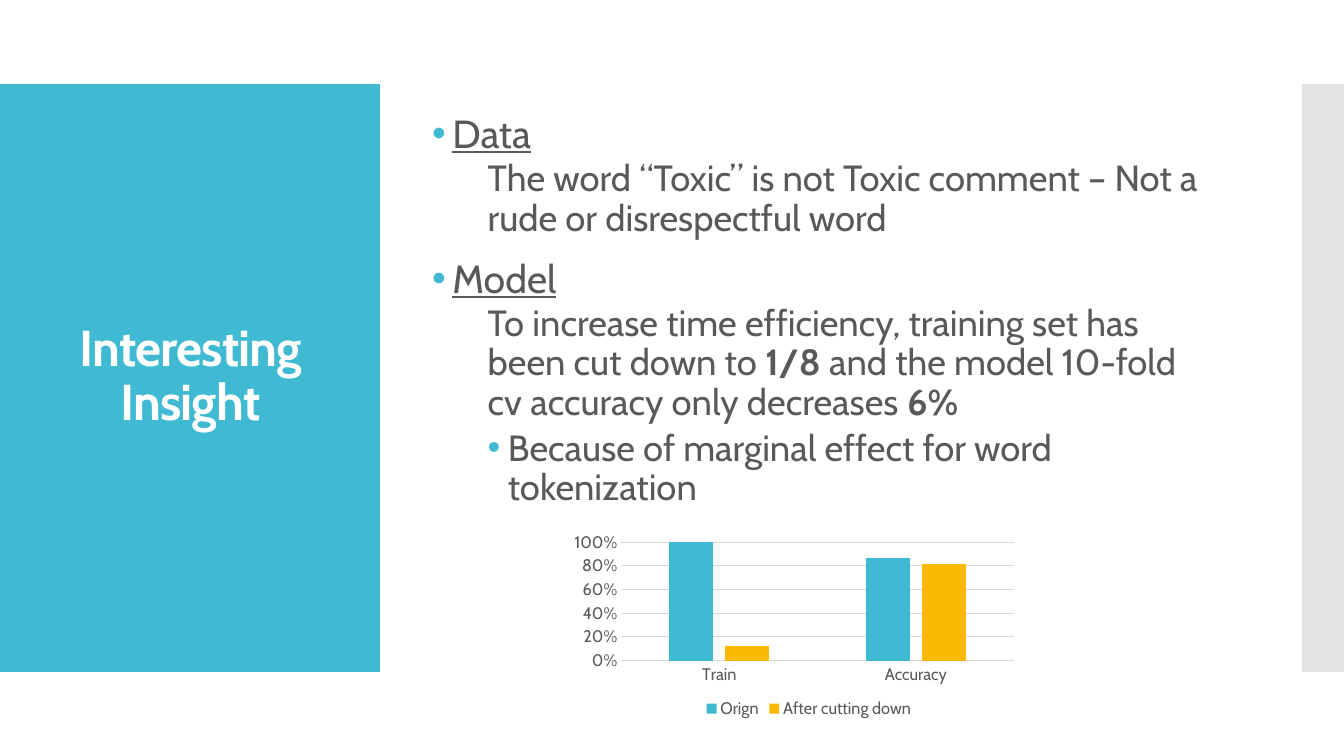
from dataclasses import dataclass

from lxml.etree import SubElement
from pptx import Presentation
from pptx.chart.data import CategoryChartData
from pptx.dml.color import RGBColor
from pptx.enum.chart import XL_CHART_TYPE, XL_LEGEND_POSITION, XL_TICK_MARK
from pptx.enum.shapes import MSO_SHAPE
from pptx.enum.text import MSO_ANCHOR, PP_ALIGN
from pptx.oxml import parse_xml
from pptx.oxml.ns import nsdecls, qn
from pptx.util import Pt


@dataclass(frozen=True)
class Theme:
    """Colours, font and type sizes of the slide."""
    font: str = "Cabin"
    teal: str = "40BAD2"
    amber: str = "FAB900"
    gray: str = "C8C8C8"
    text: str = "595959"
    grid: str = "D9D9D9"
    white: str = "FFFFFF"
    title: int = 36
    heading: int = 28
    body: int = 26
    label: int = 12


@dataclass(frozen=True)
class Box:
    """A rectangle in points."""
    left: float
    top: float
    width: float
    height: float

    def emu(self) -> tuple:
        """Return the four lengths for python-pptx."""
        return Pt(self.left), Pt(self.top), Pt(self.width), Pt(self.height)


@dataclass(frozen=True)
class Line:
    """A body paragraph; runs at odd positions are bold."""
    runs: tuple
    indent: float
    bullet: bool = False
    heading: bool = False


T = Theme()
BULLET_GAP = 14.4
TITLE_PANEL = Box(0, 60, 271.4, 420)
EDGE_PANEL = Box(930, 60, 30, 420)
TITLE = Box(20, 88.5, 232, 362)
BODY = Box(301.7, 20.9, 576, 403.2)
CHART = Box(410.4, 375.1, 324.7, 141.1)
PLOT = {"x": 0.073, "y": 0.087, "w": 0.893, "h": 0.599}
LINES = (
    Line(("Data",), 14.4, bullet=True, heading=True),
    Line(("The word “Toxic” is not Toxic comment – Not a rude or disrespectful word",), 39.6),
    Line(("Model",), 14.4, bullet=True, heading=True),
    Line(("To increase time efficiency, training set has been cut down to ", "1/8 ",
          "and the model 10-fold cv accuracy only decreases ", "6%"), 39.6),
    Line(("Because of marginal effect for word tokenization",), 54, bullet=True),
)
SERIES = (("Orign", (1, 0.87), T.teal), ("After cutting down", (0.12, 0.82), T.amber))


def rgb(value: str) -> RGBColor:
    """Turn a hex string into a colour."""
    return RGBColor.from_string(value)


def style(font, size: float, color: str, bold: bool = False) -> None:
    """Set face, size, colour and weight of a font."""
    font.name, font.size, font.bold = T.font, Pt(size), bold
    font.color.rgb = rgb(color)


def add_panel(s, box: Box, color: str, alpha: int = 100) -> None:
    """Draw a plain rectangle, see-through below 100 percent."""
    sp = s.shapes.add_shape(MSO_SHAPE.RECTANGLE, *box.emu())
    sp.shadow.inherit = False
    sp.fill.solid()
    sp.fill.fore_color.rgb = rgb(color)
    sp.line.fill.background()
    if alpha < 100:
        clr = sp.fill._xPr.find(".//" + qn("a:srgbClr"))
        SubElement(clr, qn("a:alpha"), val=str(alpha * 1000))


def add_text_frame(s, box: Box):
    """Add a wrapping, vertically centred text box and return its frame."""
    tf = s.shapes.add_textbox(*box.emu()).text_frame
    tf.word_wrap = True
    tf.vertical_anchor = MSO_ANCHOR.MIDDLE
    return tf


def add_title(s) -> None:
    """Write the title on the teal panel."""
    p = add_text_frame(s, TITLE).paragraphs[0]
    p.alignment, p.line_spacing = PP_ALIGN.CENTER, 0.9
    r = p.add_run()
    r.text = "Interesting Insight"
    style(r.font, T.title, T.white, bold=True)
    r.font._element.set("spc", "-60")


def set_indent(p, line: Line) -> None:
    """Set the left margin and, where wanted, a teal bullet."""
    pPr = p._p.get_or_add_pPr()
    pPr.set("marL", str(Pt(line.indent)))
    pPr.set("indent", str(-Pt(BULLET_GAP) if line.bullet else 0))
    if line.bullet:
        SubElement(SubElement(pPr, qn("a:buClr")), qn("a:srgbClr"), val=T.teal)
        SubElement(pPr, qn("a:buFont"), typeface="Arial")
        SubElement(pPr, qn("a:buChar"), char="•")
    else:
        SubElement(pPr, qn("a:buNone"))


def add_body(s) -> None:
    """Write the headings and their details."""
    tf = add_text_frame(s, BODY)
    for i, line in enumerate(LINES):
        p = tf.add_paragraph() if i else tf.paragraphs[0]
        p.line_spacing = 0.9
        p.space_before = Pt(12 if line.heading else 2.5)
        p.space_after = Pt(0 if line.heading else 2.5)
        set_indent(p, line)
        for j, text in enumerate(line.runs):
            r = p.add_run()
            r.text = text
            style(r.font, T.heading if line.heading else T.body, T.text, bold=j % 2 == 1)
            r.font.underline = line.heading


def set_plot_layout(chart) -> None:
    """Fix the inner plot area inside the chart."""
    area = chart._chartSpace.chart.plotArea
    for old in area.findall(qn("c:layout")):
        area.remove(old)
    sizes = "".join(f'<c:{k} val="{v}"/>' for k, v in PLOT.items())
    area.insert(0, parse_xml(
        f'<c:layout {nsdecls("c")}><c:manualLayout><c:layoutTarget val="inner"/>'
        f'<c:xMode val="edge"/><c:yMode val="edge"/>{sizes}</c:manualLayout></c:layout>'))


def style_axes(chart) -> None:
    """Set labels, lines and scale of both axes."""
    cat, val = chart.category_axis, chart.value_axis
    for axis in (cat, val):
        axis.major_tick_mark = axis.minor_tick_mark = XL_TICK_MARK.NONE
        style(axis.tick_labels.font, T.label, T.text)
    val.minimum_scale, val.maximum_scale, val.major_unit = 0, 1, 0.2
    val.tick_labels.number_format = "0%"
    val.tick_labels.number_format_is_linked = False
    val.format.line.fill.background()
    for line in (cat.format.line, val.major_gridlines.format.line):
        line.color.rgb, line.width = rgb(T.grid), Pt(0.75)


def add_accuracy_chart(s) -> None:
    """Compare training size and accuracy before and after the cut."""
    data = CategoryChartData(number_format="0%")
    data.categories = ("Train", "Accuracy")
    for name, values, _ in SERIES:
        data.add_series(name, values)
    chart = s.shapes.add_chart(XL_CHART_TYPE.COLUMN_CLUSTERED, *CHART.emu(), data).chart
    style(chart.font, T.label, T.text)
    chart.has_title = False
    chart.has_legend = True
    chart.legend.position = XL_LEGEND_POSITION.BOTTOM
    chart.legend.include_in_layout = False
    style(chart.legend.font, T.label, T.text)
    plot = chart.plots[0]
    plot.gap_width, plot.overlap, plot.vary_by_categories = 219, -27, False
    for series, (_, _, color) in zip(plot.series, SERIES):
        series.format.fill.solid()
        series.format.fill.fore_color.rgb = rgb(color)
    style_axes(chart)
    set_plot_layout(chart)


def main() -> None:
    """Build and save the slide."""
    prs = Presentation()
    prs.slide_width, prs.slide_height = Pt(960), Pt(540)
    s = prs.slides.add_slide(prs.slide_layouts[6])
    add_panel(s, TITLE_PANEL, T.teal)
    add_panel(s, EDGE_PANEL, T.gray, alpha=50)
    add_title(s)
    add_body(s)
    add_accuracy_chart(s)
    prs.save("out.pptx")


main()
